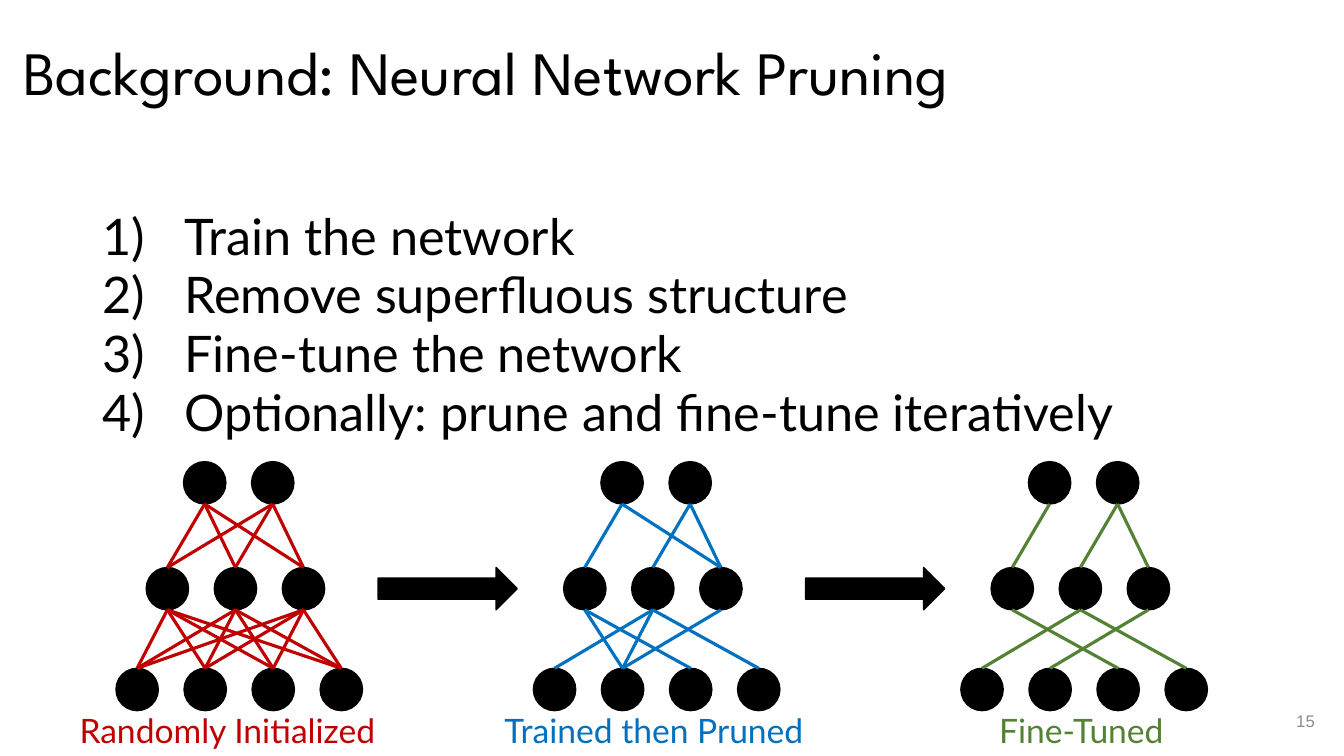
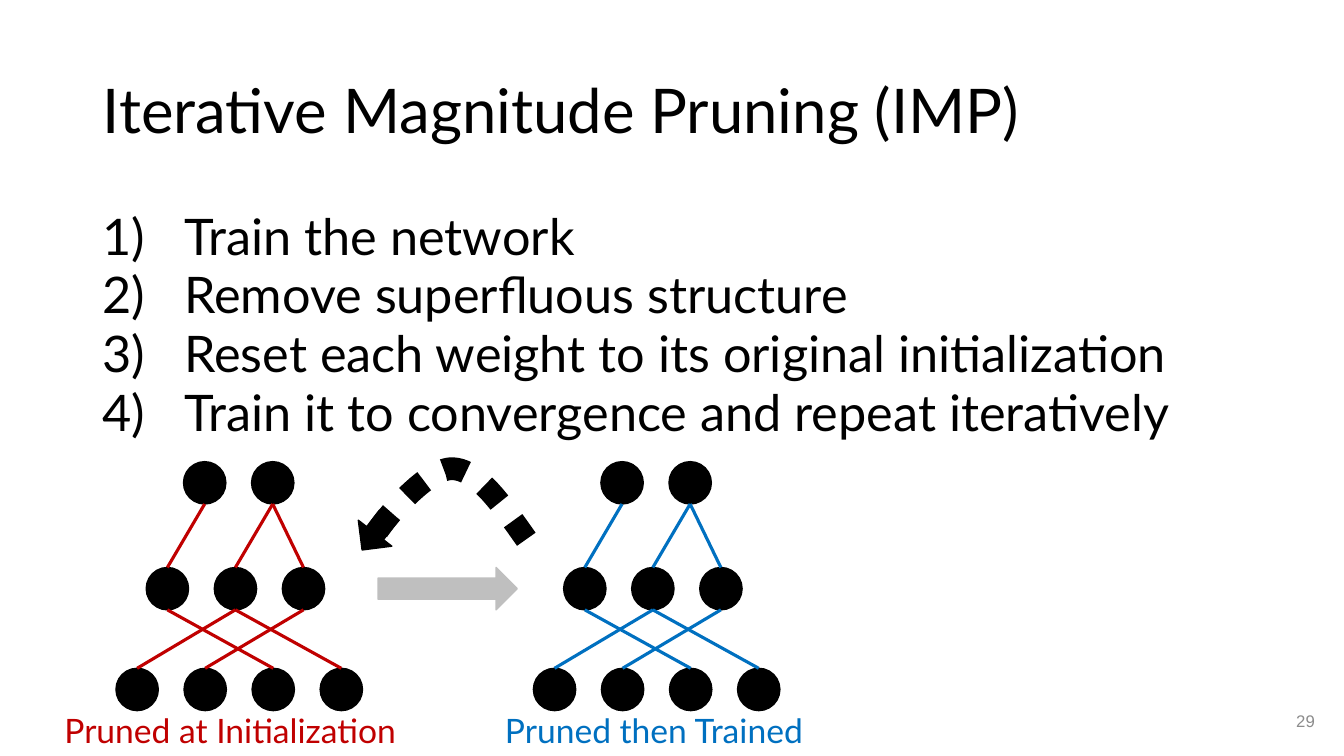
from itertools import product

from lxml import etree
from pptx import Presentation
from pptx import util as u
from pptx.dml.color import RGBColor
from pptx.enum import dml, shapes, text
from pptx.oxml import ns

BLACK, RED, BLUE, GREEN = "000000", "C00000", "0070C0", "548235"
SILVER, GRAY = "BFBFBF", "8C8C8C"
LEFT, CENTER, RIGHT = text.PP_ALIGN.LEFT, text.PP_ALIGN.CENTER, text.PP_ALIGN.RIGHT

# Layers of a network: offset of the first node from the network's left, top, node count
NODE, PITCH = 0.42, 0.675
OUTPUT, HIDDEN, INPUT = (0.67, 4.58, 2), (0.3, 5.63, 3), (0, 6.63, 4)

# Edges as (output, hidden) and (hidden, input) node pairs
DENSE = (list(product(range(2), range(3))), list(product(range(3), range(4))))
PRUNED = ([(0, 0), (0, 2), (1, 1), (1, 2)],
          [(0, 1), (0, 2), (1, 0), (1, 1), (1, 3), (2, 1)])
SPARSE = ([(0, 0), (1, 1), (1, 2)], [(0, 2), (1, 0), (1, 3), (2, 1)])

# Cubic curves of the dashed loop back to the first network
LOOP = [
    [(5.22, 5.35), (4.98, 5.01), (4.74, 4.66), (4.49, 4.65)],
    [(4.49, 4.65), (4.24, 4.64), (3.81, 5.15), (3.73, 5.29)],
]

SLIDES = [
    {
        "title": ("Background: Neural Network Pruning", "League Spartan", (0.13, 0.02, 11.81, 1.45)),
        "steps": ["Train the network", "Remove superfluous structure",
                  "Fine-tune the network", "Optionally: prune and fine-tune iteratively"],
        # left, edges, colour, label, label left, label width, alignment
        "networks": [
            (1.15, DENSE, RED, "Randomly Initialized", 0.69, 3.29, LEFT),
            (5.29, PRUNED, BLUE, "Trained then Pruned", 4.84, 3.29, CENTER),
            (9.53, SPARSE, GREEN, "Fine-Tuned", 9.08, 3.29, CENTER),
        ],
        "arrows": [(3.75, 5.63, 0, BLACK), (7.99, 5.63, 0, BLACK)],
        "loop": [],
        "number": "15",
    },
    {
        "title": ("Iterative Magnitude Pruning (IMP)", "Lato", (0.92, 0.4, 11.79, 1.45)),
        "steps": ["Train the network", "Remove superfluous structure",
                  "Reset each weight to its original initialization",
                  "Train it to convergence and repeat iteratively"],
        "networks": [
            (1.15, SPARSE, RED, "Pruned at Initialization", 0.54, 3.59, LEFT),
            (5.29, SPARSE, BLUE, "Pruned then Trained", 4.84, 3.29, CENTER),
        ],
        "arrows": [(3.75, 5.63, 0, SILVER), (3.51, 5.08, 127.8, BLACK)],
        "loop": LOOP,
        "number": "29",
    },
]


def rgb(value):
    return RGBColor.from_string(value)


def inches(*values):
    return [u.Inches(v) for v in values]


def write(p, words, font, size, color, align=LEFT, spacing=0.9):
    p.alignment, p.line_spacing = align, spacing
    r = p.add_run()
    r.text = words
    r.font.name, r.font.size = font, u.Pt(size)
    r.font.color.rgb = rgb(color)


def text_box(parent, box, anchor):
    tf = parent.add_textbox(*inches(*box)).text_frame
    tf.word_wrap, tf.vertical_anchor = True, anchor
    return tf


def add_title(slide, words, font, box):
    sp = slide.shapes.title
    sp.left, sp.top, sp.width, sp.height = inches(*box)
    tf = sp.text_frame
    tf.auto_size = text.MSO_AUTO_SIZE.NONE
    tf.vertical_anchor = text.MSO_ANCHOR.MIDDLE
    write(tf.paragraphs[0], words, font, 44, BLACK)


def add_steps(slide, steps):
    tf = text_box(slide.shapes, (0.92, 2.05, 12.41, 2.5), text.MSO_ANCHOR.TOP)
    for i, step in enumerate(steps):
        p = tf.add_paragraph() if i else tf.paragraphs[0]
        pPr = p._p.get_or_add_pPr()
        pPr.set("marL", str(u.Inches(0.81)))
        pPr.set("indent", str(-u.Inches(0.81)))
        etree.SubElement(pPr, ns.qn("a:buFont"), typeface="+mj-lt")
        etree.SubElement(pPr, ns.qn("a:buAutoNum"), type="arabicParenR")
        if i:
            p.space_before = u.Pt(3)
        write(p, step, "Lato", 36, BLACK)


def add_solid(parent, kind, box, color):
    sp = parent.add_shape(kind, *inches(*box))
    sp.shadow.inherit = False
    sp.fill.solid()
    sp.fill.fore_color.rgb = sp.line.color.rgb = rgb(color)
    sp.line.width = u.Pt(1)
    return sp


def add_edge(parent, start, end, color):
    line = parent.add_connector(shapes.MSO_CONNECTOR.STRAIGHT, *inches(*start, *end))
    line.line.color.rgb, line.line.width = rgb(color), u.Pt(2.25)
    etree.SubElement(line._element.spPr, ns.qn("a:effectLst"))


def add_network(slide, left, edges, color, label, label_left, label_width, align):
    group = slide.shapes.add_group_shape().shapes

    def node_left(layer, i):
        return left + layer[0] + i * PITCH

    for layer in (INPUT, HIDDEN, OUTPUT):
        for i in range(layer[2]):
            add_solid(group, shapes.MSO_SHAPE.OVAL,
                      (node_left(layer, i), layer[1], NODE, NODE), BLACK)
    for upper, lower, pairs in zip((OUTPUT, HIDDEN), (HIDDEN, INPUT), edges):
        for i, j in pairs:
            add_edge(group, (node_left(upper, i) + NODE / 2, upper[1] + NODE),
                     (node_left(lower, j) + NODE / 2, lower[1]), color)
    tf = text_box(group, (label_left, 6.94, label_width, 0.56), text.MSO_ANCHOR.BOTTOM)
    write(tf.paragraphs[0], label, "Lato", 24, color, align)


def bezier(points, t):
    weights = ((1 - t) ** 3, 3 * t * (1 - t) ** 2, 3 * t ** 2 * (1 - t), t ** 3)
    return inches(*(sum(w * v for w, v in zip(weights, axis)) for axis in zip(*points)))


def add_loop(slide, curves, steps=20):
    builder = slide.shapes.build_freeform(*inches(*curves[0][0]))
    builder.add_line_segments(
        [bezier(c, n / steps) for c in curves for n in range(1, steps + 1)], close=False)
    sp = builder.convert_to_shape()
    sp.shadow.inherit = False
    sp.fill.background()
    sp.line.color.rgb, sp.line.width = rgb(BLACK), u.Pt(16.25)
    sp.line.dash_style = dml.MSO_LINE.ROUND_DOT


def main():
    prs = Presentation()
    prs.slide_width, prs.slide_height = inches(13.33, 7.5)
    for content in SLIDES:
        slide = prs.slides.add_slide(prs.slide_layouts[5])
        add_title(slide, *content["title"])
        add_steps(slide, content["steps"])
        for network in content["networks"]:
            add_network(slide, *network)
        for left, top, angle, color in content["arrows"]:
            width = 0.42 if angle else 1.38
            sp = add_solid(slide.shapes, shapes.MSO_SHAPE.RIGHT_ARROW,
                           (left, top, width, 0.42), color)
            sp.rotation = angle
        if content["loop"]:
            add_loop(slide, content["loop"])
        tf = text_box(slide.shapes, (12.66, 6.95, 0.48, 0.4), text.MSO_ANCHOR.MIDDLE)
        write(tf.paragraphs[0], content["number"], "Arial", 12, GRAY, RIGHT, 1.0)
    prs.save("out.pptx")


if __name__ == "__main__":
    main()
